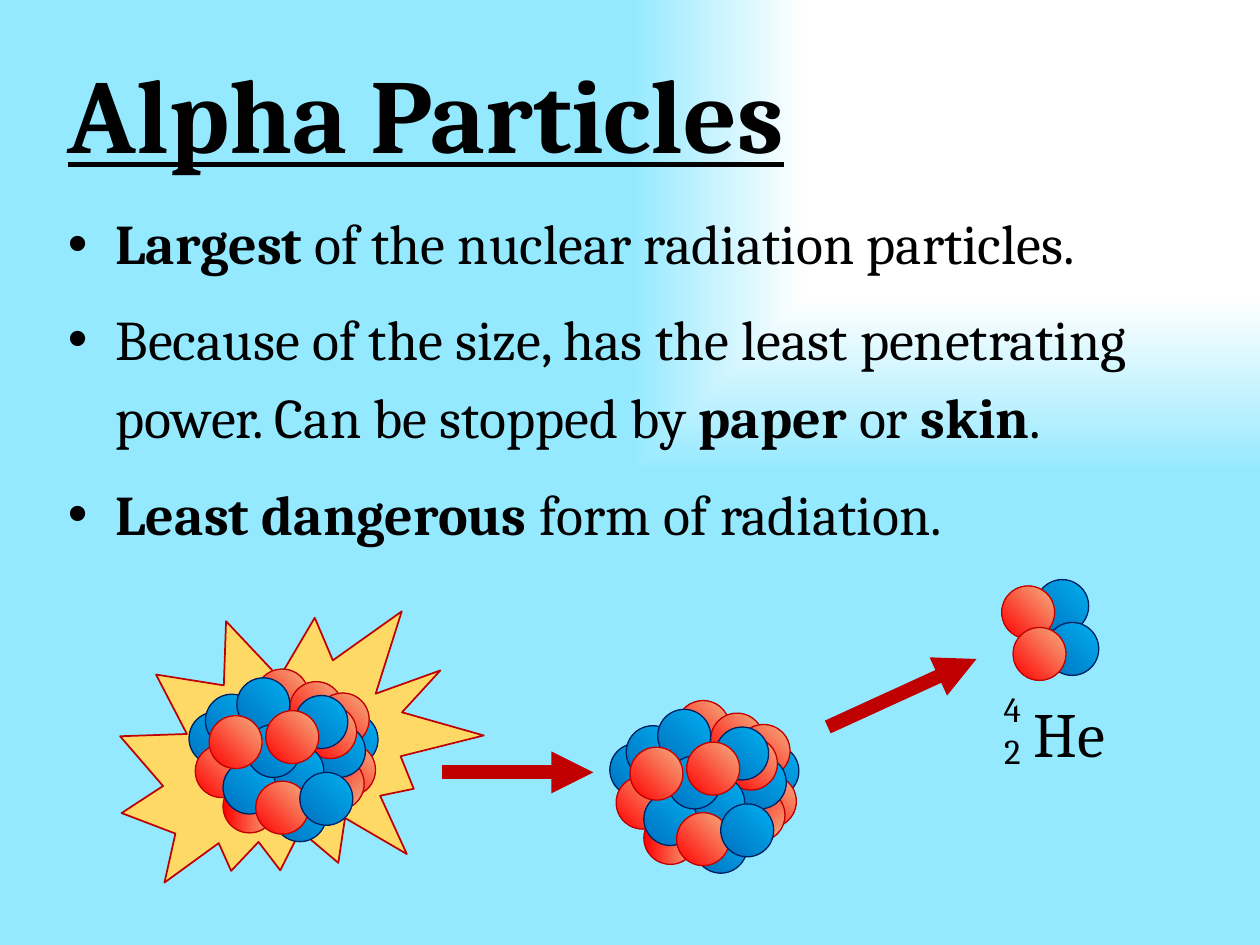
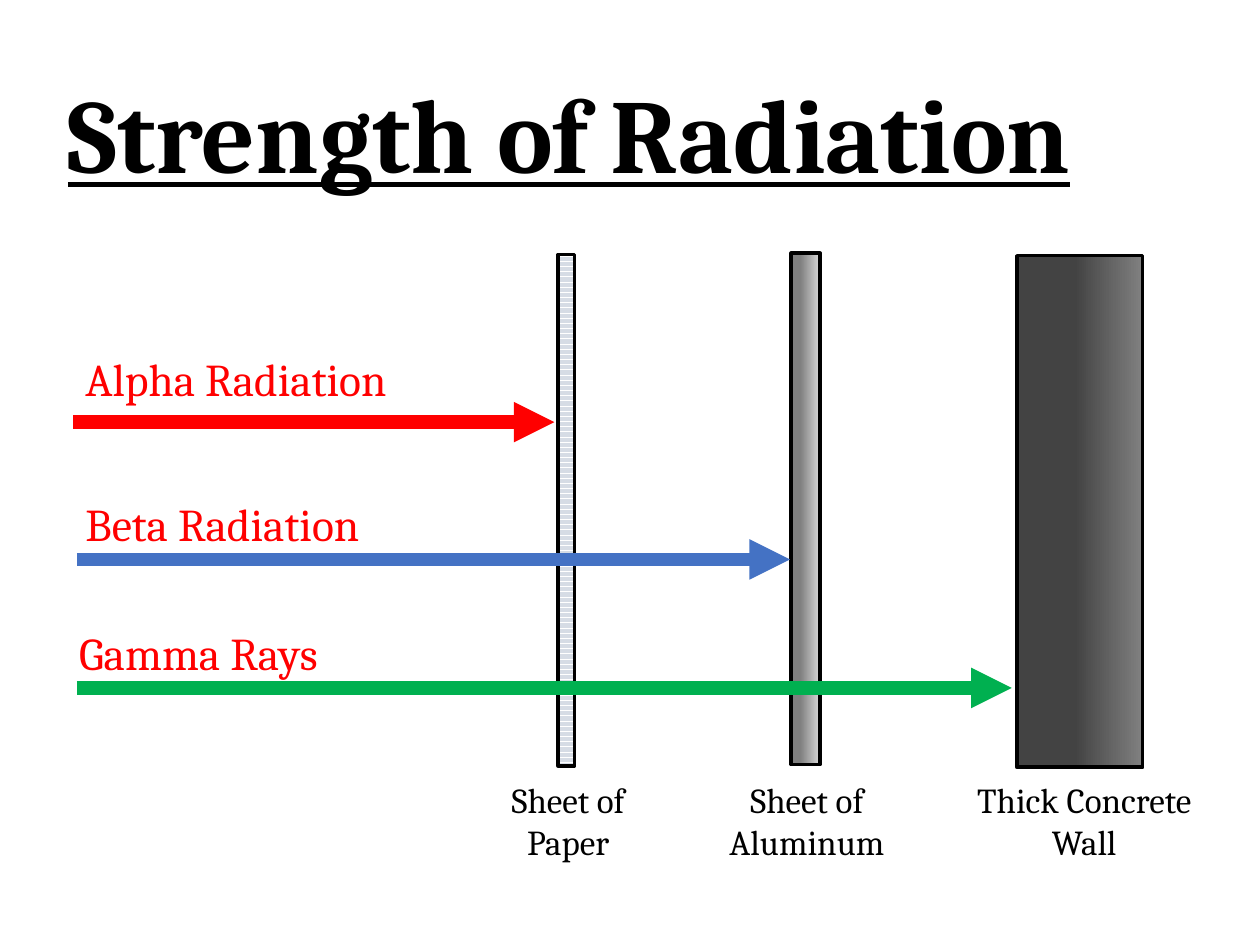
from dataclasses import dataclass

from lxml.etree import SubElement
from pptx import Presentation
from pptx.dml.color import RGBColor
from pptx.enum.dml import MSO_PATTERN
from pptx.enum.shapes import MSO_CONNECTOR, MSO_SHAPE
from pptx.enum.text import MSO_ANCHOR, PP_ALIGN
from pptx.oxml import parse_xml
from pptx.oxml.ns import nsdecls, qn
from pptx.util import Inches, Pt


@dataclass(frozen=True)
class Theme:
    font: str = "Cambria"
    black: str = "000000"
    white: str = "FFFFFF"
    sky: str = "95E9FF"
    burst: str = "FFD966"
    dark_red: str = "C00000"
    alpha: str = "FF0000"
    beta: str = "4472C4"
    gamma: str = "00B050"
    paper: str = "D6DCE5"
    gray: str = "808080"
    silver: str = "D9D9D9"
    concrete: str = "434343"
    proton: tuple = ("FF0000", "F4B183", "C00000")
    neutron: tuple = ("0070C0", "00B0F0", "002060")
    title: int = 60
    symbol: int = 36
    body: int = 32
    label: int = 26
    small: int = 20


T = Theme()
BALL = 0.42

# Nucleons from back to front: kind, x, y and, if not 315, gradient angle
NUCLEUS = [
    ("n", 1.08, 0.35), ("p", 1.06, 0.59), ("p", 0.53, 0), ("n", 0.67, 0.95),
    ("p", 0.8, 0.1), ("p", 1.01, 0.19), ("n", 0, 0.34), ("n", 0.13, 0.2),
    ("n", 0.38, 0.07), ("p", 0.05, 0.6), ("p", 0.27, 0.88, 0),
    ("p", 0.97, 0.7, 45), ("n", 0.98, 0.44), ("p", 0.91, 0.29),
    ("n", 0.84, 0.21), ("n", 0.65, 0.6), ("n", 0.27, 0.73), ("p", 0.53, 0.89),
    ("n", 0.88, 0.82), ("n", 0.46, 0.44), ("p", 0.16, 0.37), ("p", 0.61, 0.33),
]
HELIUM = [("n", 0.27, 0), ("n", 0.35, 0.34), ("p", 0, 0.05), ("p", 0.09, 0.38)]


# Shared drawing helpers
def rgb(value):
    return RGBColor.from_string(value)


def set_gradient(fill, parent, stops, direction):
    """Swap a solid fill for a gradient with (percent, colour) stops."""
    fill.solid()
    gs = "".join(f'<a:gs pos="{pos * 1000}"><a:srgbClr val="{color}"/></a:gs>'
                 for pos, color in stops)
    grad = parse_xml(f'<a:gradFill {nsdecls("a")} rotWithShape="0">'
                     f'<a:gsLst>{gs}</a:gsLst>{direction}</a:gradFill>')
    parent.replace(parent.find(qn("a:solidFill")), grad)


def shape_gradient(sp, stops, angle=0):
    set_gradient(sp.fill, sp.element.spPr, stops,
                 f'<a:lin ang="{angle * 60000}" scaled="0"/>')


def add_outlined(s, kind, box, line, width):
    sp = s.shapes.add_shape(kind, *map(Inches, box))
    sp.shadow.inherit = False
    sp.line.color.rgb = rgb(line)
    sp.line.width = Pt(width)
    return sp


def add_arrow(s, start, end, color, width):
    cx = s.shapes.add_connector(MSO_CONNECTOR.STRAIGHT,
                                *map(Inches, (*start, *end)))
    cx.line.color.rgb = rgb(color)
    cx.line.width = Pt(width)
    SubElement(cx.line._get_or_add_ln(), qn("a:tailEnd"), type="triangle")
    SubElement(cx.element.spPr, qn("a:effectLst"))


def add_text(s, box, paragraphs, size, color=T.black, align=PP_ALIGN.LEFT,
             anchor=MSO_ANCHOR.TOP, spacing=None, bullet=False):
    """Each paragraph is a list of (text, bold) runs."""
    tf = s.shapes.add_textbox(*map(Inches, box)).text_frame
    tf.word_wrap = True
    tf.vertical_anchor = anchor
    for i, runs in enumerate(paragraphs):
        p = tf.paragraphs[0] if i == 0 else tf.add_paragraph()
        if bullet:
            pPr = p._p.get_or_add_pPr()
            pPr.set("marL", str(Inches(0.38)))
            pPr.set("indent", str(-Inches(0.38)))
            SubElement(pPr, qn("a:buFont"), typeface="Arial")
            SubElement(pPr, qn("a:buChar"), char="•")
        p.alignment = align
        if spacing:
            p.line_spacing = spacing
        for text, bold in runs:
            r = p.add_run()
            r.text = text
            r.font.name = T.font
            r.font.size = Pt(size)
            r.font.bold = bold
            r.font.color.rgb = rgb(color)
    return tf


def add_title(s, text, top):
    tf = add_text(s, (0.44, top, 8.77, 1.08), [[(text, True)]], T.title,
                  anchor=MSO_ANCHOR.MIDDLE, spacing=0.9)
    tf.paragraphs[0].runs[0].font.underline = True


# Alpha particles slide
def add_nucleons(s, left, top, nucleons):
    for kind, x, y, *angle in nucleons:
        dark, light, edge = T.proton if kind == "p" else T.neutron
        sp = add_outlined(s, MSO_SHAPE.OVAL, (left + x, top + y, BALL, BALL),
                          edge, 0.75)
        shape_gradient(sp, [(0, dark), (100, light)], angle[0] if angle else 315)


def add_decay(s, left, top):
    # Unstable nucleus on its burst
    burst = add_outlined(s, MSO_SHAPE.EXPLOSION2,
                         (left, top + 0.08, 2.79, 2.56), T.dark_red, 1)
    burst.rotation = 14.7
    burst.fill.solid()
    burst.fill.fore_color.rgb = rgb(T.burst)
    add_nucleons(s, left + 0.53, top + 0.71, NUCLEUS)
    # Remaining nucleus
    add_arrow(s, (left + 2.54, top + 1.53), (left + 3.74, top + 1.53),
              T.dark_red, 8)
    add_nucleons(s, left + 3.87, top + 0.96, NUCLEUS)
    # Emitted helium nucleus and its symbol
    add_nucleons(s, left + 6.98, top, HELIUM)
    add_arrow(s, (left + 5.6, top + 1.17), (left + 6.78, top + 0.63),
              T.dark_red, 8)
    add_text(s, (left + 7.07, top + 0.86, 0.89, 0.74), [[("He", False)]],
             T.symbol, align=PP_ALIGN.CENTER)
    add_text(s, (left + 6.83, top + 0.81, 0.47, 0.74),
             [[("4", False)], [("2", False)]], T.small, align=PP_ALIGN.CENTER)


def alpha_slide(prs):
    s = prs.slides.add_slide(prs.slide_layouts[6])
    fill = s.background.fill
    fill.solid()
    set_gradient(fill, s.element.find(f".//{qn('p:bgPr')}"),
                 [(0, T.white), (63, T.white), (100, T.sky)],
                 '<a:path path="rect"><a:fillToRect l="100000" b="100000"/>'
                 '</a:path>')
    add_title(s, "Alpha Particles", 0.41)
    points = [
        (1.53, 0.67, [("Largest", True),
                      (" of the nuclear radiation particles.", False)]),
        (2.29, 1.29, [("Because of the size, has the least penetrating power. "
                       "Can be stopped by ", False), ("paper", True),
                      (" or ", False), ("skin", True), (".", False)]),
        (3.68, 0.67, [("Least dangerous ", True),
                      ("form of radiation.", False)]),
    ]
    for top, height, runs in points:
        add_text(s, (0.44, top, 9.13, height), [runs], T.body,
                 spacing=1.15, bullet=True)
    add_decay(s, 0.97, 4.6)


# Strength of radiation slide
def add_barriers(s, top, height):
    paper, aluminum, wall = [
        add_outlined(s, MSO_SHAPE.RECTANGLE, (x, top + dy, width, height),
                     T.black, 2)
        for x, dy, width in [(4.43, 0.01, 0.13), (6.28, 0, 0.23),
                             (8.07, 0.02, 1)]]
    paper.fill.patterned()
    paper.fill.pattern = MSO_PATTERN.DARK_HORIZONTAL
    paper.fill.fore_color.rgb = rgb(T.paper)
    paper.fill.back_color.rgb = rgb(T.white)
    shape_gradient(aluminum, [(0, T.gray), (32, T.gray), (100, T.silver)])
    shape_gradient(wall, [(46, T.concrete), (100, T.gray)])
    # Captions under the barriers
    for x, width, text in [(3.88, 1.26, "Sheet of Paper"),
                           (5.59, 1.63, "Sheet of Aluminum"),
                           (7.65, 1.91, "Thick Concrete Wall")]:
        add_text(s, (x, top + height + 0.06, width, 0.8), [[(text, False)]],
                 T.small, align=PP_ALIGN.CENTER)


def add_rays(s):
    rays = [("Alpha Radiation", 0.58, 2.74, 0.58, 4.4, 3.35, T.alpha),
            ("Beta Radiation", 0.58, 3.89, 0.61, 6.27, 4.44, T.beta),
            ("Gamma Rays", 0.53, 4.91, 0.61, 8.03, 5.46, T.gamma)]
    for name, left, top, start, end, y, color in rays:
        add_arrow(s, (start, y), (end, y), color, 7.75)
        add_text(s, (left, top, 3, 0.5), [[(name, False)]], T.label, T.alpha)


def strength_slide(prs):
    s = prs.slides.add_slide(prs.slide_layouts[6])
    s.background.fill.solid()
    s.background.fill.fore_color.rgb = rgb(T.white)
    add_title(s, "Strength of Radiation", 0.57)
    add_barriers(s, 2.01, 4.06)
    add_rays(s)


def main():
    prs = Presentation()
    prs.slide_width, prs.slide_height = Inches(10), Inches(7.5)
    alpha_slide(prs)
    strength_slide(prs)
    prs.save("out.pptx")


if __name__ == "__main__":
    main()
